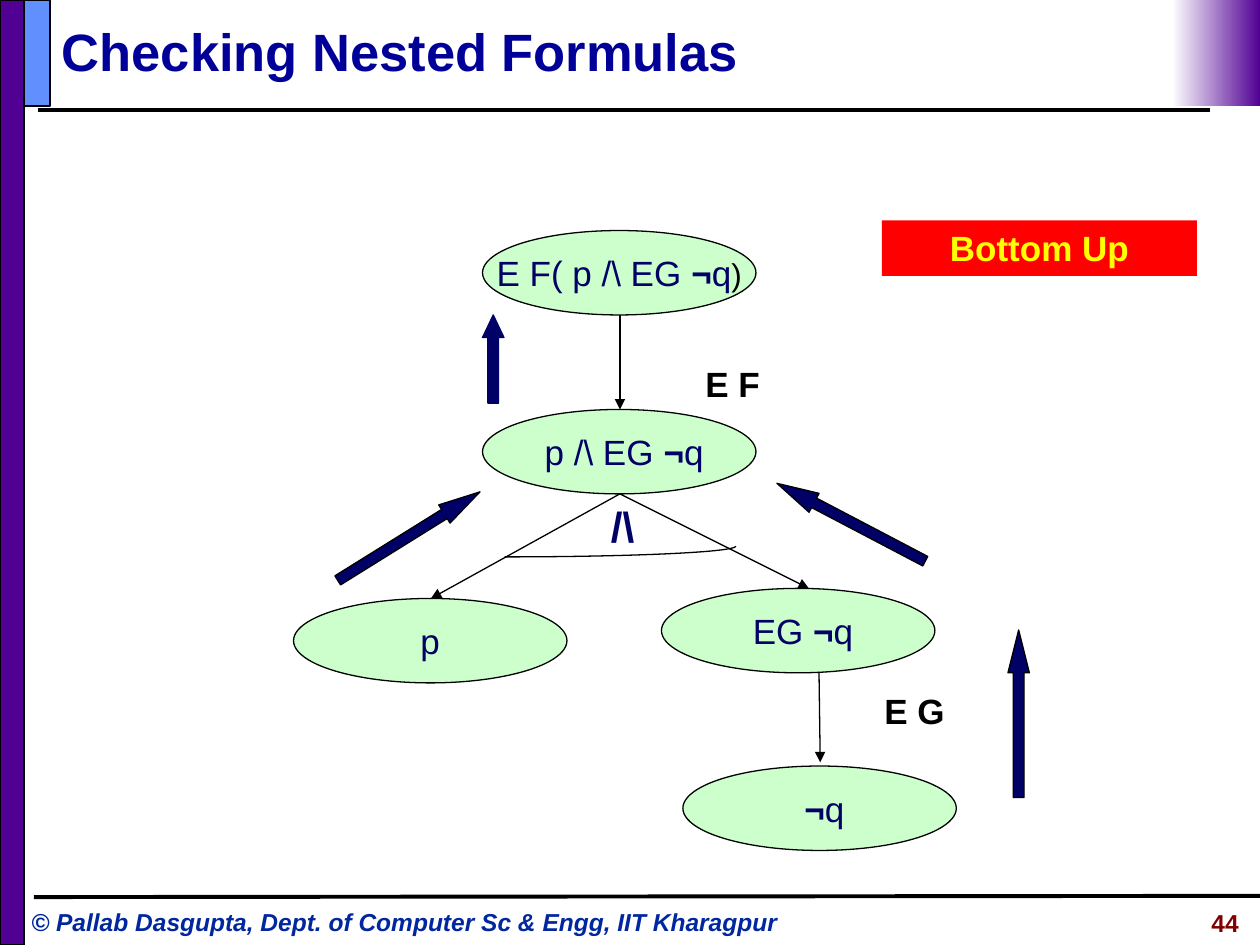
from lxml import etree
from pptx import Presentation
from pptx.dml.color import RGBColor
from pptx.enum.shapes import MSO_CONNECTOR, MSO_SHAPE as SHAPE
from pptx.enum.text import MSO_ANCHOR as ANCHOR, PP_ALIGN as ALIGN
from pptx.oxml.ns import qn
from pptx.util import Inches, Pt

NAVY = "000066"
BLACK = "000000"
GREEN = "CCFFCC"


def paint(s, fill=None, line=None, width=0.75):
    """Set the fill and outline of a shape, and remove its shadow."""
    s.shadow.inherit = False
    if fill:
        s.fill.solid()
        s.fill.fore_color.rgb = RGBColor.from_string(fill)
    else:
        s.fill.background()
    if line:
        s.line.color.rgb = RGBColor.from_string(line)
        s.line.width = Pt(width)
    else:
        s.line.fill.background()


def write(s, text, size=20, color=BLACK, bold=False, italic=False,
          align=ALIGN.LEFT, anchor=ANCHOR.TOP, wrap=True):
    """Add a formatted run to the first paragraph of a shape."""
    tf = s.text_frame
    tf.word_wrap = wrap
    tf.vertical_anchor = anchor
    p = tf.paragraphs[0]
    p.alignment = align
    r = p.add_run()
    r.text = text
    r.font.name = "Arial"
    r.font.size = Pt(size)
    r.font.bold = bold
    r.font.italic = italic
    r.font.color.rgb = RGBColor.from_string(color)


prs = Presentation()
prs.slide_width, prs.slide_height = Inches(10), Inches(7.5)
slide = prs.slides.add_slide(prs.slide_layouts[5])
shapes = slide.shapes

# Title
title = shapes.title
title.left, title.top = Inches(0.39), Inches(0.1)
title.width, title.height = Inches(9.1), Inches(0.61)
write(title, "Checking Nested Formulas", size=30, color="000099", bold=True,
      anchor=ANCHOR.MIDDLE)

# Side bar, corner block and fading block
for x, w, h, fill in [(0, 0.19, 7.5, "500093"), (0.19, 0.21, 0.84, "618FFD")]:
    s = shapes.add_shape(SHAPE.RECTANGLE, Inches(x), 0, Inches(w), Inches(h))
    paint(s, fill, BLACK, 1)

fade = shapes.add_shape(SHAPE.RECTANGLE, Inches(9.3), 0, Inches(0.7), Inches(0.84))
paint(fade)
fade.fill.gradient()
fade.fill.gradient_angle = 180
for stop, position, color in zip(fade.fill.gradient_stops, (0, 1), ("500093", "FFFFFF")):
    stop.position = position
    stop.color.rgb = RGBColor.from_string(color)

# Rules of the page and edges of the formula tree
lines = [
    # x1, y1, x2, y2, width, arrowhead
    (0.3, 0.87, 9.6, 0.87, 2.25, False),
    (0.27, 7.12, 10, 7.11, 2.25, False),
    (4.92, 2.5, 4.92, 3.25, 0.75, True),
    (4.92, 3.92, 3.42, 4.75, 0.75, True),
    (4.92, 3.92, 6.42, 4.67, 0.75, True),
    (6.5, 5.33, 6.51, 6.05, 0.75, True),
]
for x1, y1, x2, y2, width, arrow in lines:
    c = shapes.add_connector(MSO_CONNECTOR.STRAIGHT, Inches(x1), Inches(y1),
                             Inches(x2), Inches(y2))
    c.line.color.rgb = RGBColor.from_string(BLACK)
    c.line.width = Pt(width)
    spPr = c._element.spPr
    if arrow:
        etree.SubElement(spPr.find(qn("a:ln")), qn("a:tailEnd"), type="triangle")
    etree.SubElement(spPr, qn("a:effectLst"))

# Formula nodes: text before the negation sign, then the negated part
nodes = [
    (3.83, 1.83, "E F( p /\\ EG ", "q", ")"),
    (3.83, 3.25, " p /\\ EG ", "q", ""),
    (5.25, 4.67, " EG ", "q", ""),
    (2.33, 4.75, "p", "", ""),
    (5.42, 6.08, " ", "q", ""),
]
for x, y, before, negated, closing in nodes:
    s = shapes.add_shape(SHAPE.OVAL, Inches(x), Inches(y), Inches(2.17), Inches(0.67))
    paint(s, GREEN, BLACK)
    node = dict(align=ALIGN.CENTER, anchor=ANCHOR.MIDDLE, wrap=False)
    write(s, before, color=NAVY, **node)
    if negated:
        write(s, "¬", color=NAVY, bold=True, **node)
        write(s, negated, color=NAVY, **node)
    if closing:
        write(s, closing, size=18, **node)

# Arc joining the two branches, a quarter ellipse from 0 to 90 degrees
arc = shapes.add_shape(SHAPE.ARC, Inches(2.17), Inches(4.25), Inches(3.67), Inches(0.17))
arc.adjustments[0] = 0
arc.adjustments[1] = 90 * 0.6
paint(arc, line=BLACK)

# Block arrows pointing up the tree
arrows = [
    # x, y, height, rotation, head length, outline
    (8, 5, 1.33, 0, 2, BLACK),
    (3.16, 3.59, 1.33, 58.1, 1.96, BLACK),
    (6.67, 3.48, 1.33, 297.7, 1.96, BLACK),
    (3.83, 2.5, 0.7, 0, 1.05, NAVY),
]
for x, y, h, rotation, head, outline in arrows:
    s = shapes.add_shape(SHAPE.UP_ARROW, Inches(x), Inches(y), Inches(0.17), Inches(h))
    s.adjustments[0] = 0.5
    s.adjustments[1] = head
    s.rotation = rotation
    paint(s, NAVY, outline)

# Bottom-up banner
banner = shapes.add_shape(SHAPE.RECTANGLE, Inches(7), Inches(1.75), Inches(2.5), Inches(0.44))
paint(banner, "FF0000")
write(banner, "Bottom Up", color="FFFF00", bold=True, align=ALIGN.CENTER)

# Operator labels, footer and page number
labels = [
    (5.5, 2.83, 1, 0.44, "E F", {}),
    (6.92, 5.42, 1, 0.44, "E G", {}),
    (4.75, 3.92, 0.42, 0.5, "/\\", dict(size=24, color=NAVY)),
    (0.15, 7.15, 6.37, 0.34,
     "© Pallab Dasgupta, Dept. of Computer Sc & Engg, IIT Kharagpur",
     dict(size=14, color="00279F", italic=True)),
    (8.18, 7.16, 1.75, 0.35, "44", dict(size=14, color="800000", align=ALIGN.RIGHT)),
]
for x, y, w, h, text, fmt in labels:
    s = shapes.add_textbox(Inches(x), Inches(y), Inches(w), Inches(h))
    write(s, text, bold=True, **fmt)

prs.save("out.pptx")
